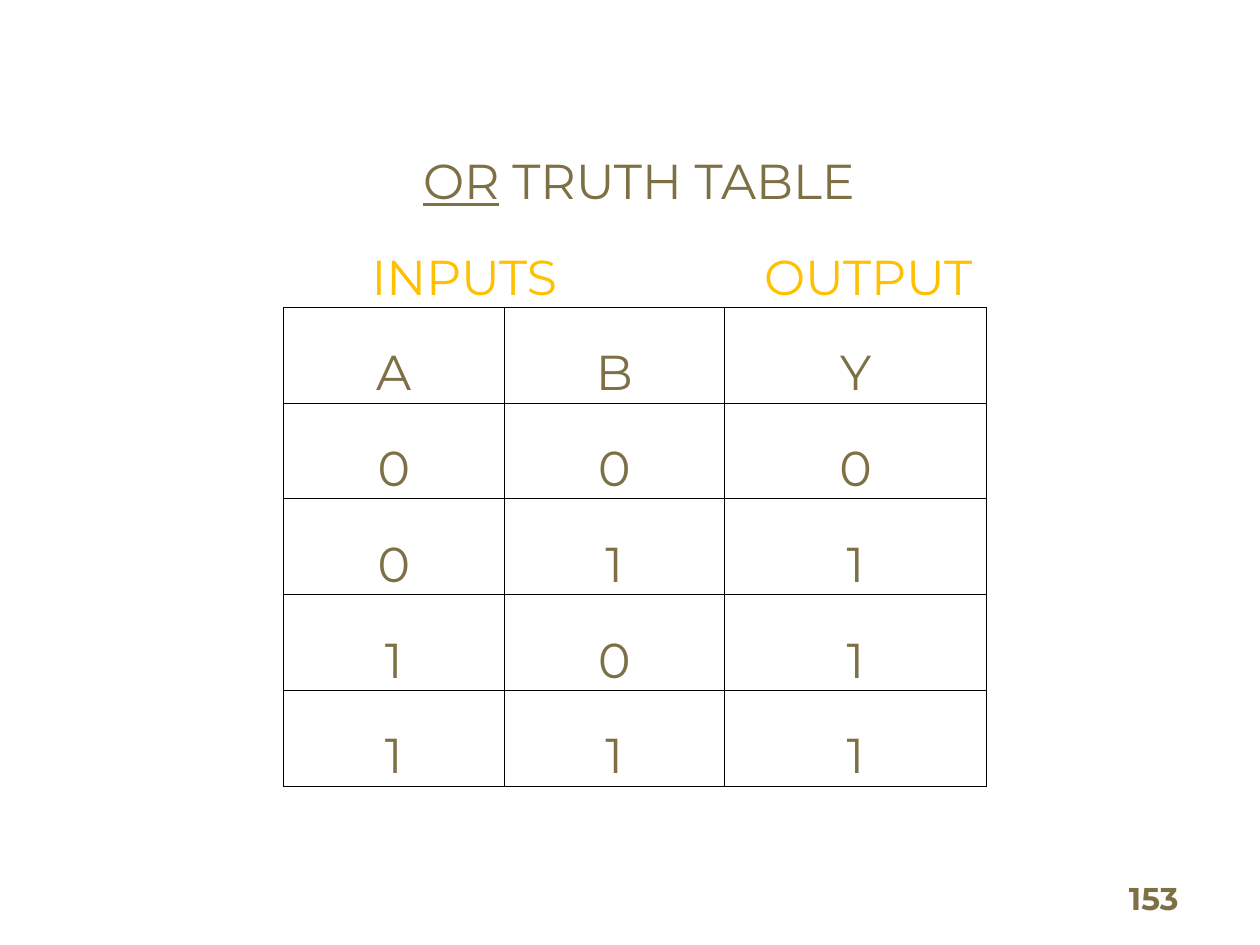
from lxml.etree import SubElement
from pptx import Presentation
from pptx.dml.color import RGBColor
from pptx.enum.text import MSO_ANCHOR, PP_ALIGN
from pptx.oxml.ns import qn
from pptx.util import Inches, Pt

TITLE = [("OR", True), (" TRUTH TABLE", False)]
INPUTS, OUTPUT = "INPUTS", "OUTPUT"
TRUTH = ["ABY", "000", "011", "101", "111"]
PAGE = "153"

THEME = {"font": "Montserrat", "text": "7C7044", "accent": "FFC000",
         "line": "000000", "line_width": 0.5, "size": 28, "page_size": 18}
COLS, ROW_H = [1.75, 1.75, 2.08], 0.76
CELL_FMT = {"vertical_anchor": MSO_ANCHOR.BOTTOM, "margin_left": Inches(0.01),
            "margin_right": Inches(0.01), "margin_top": Inches(0.01), "margin_bottom": 0}


def apply(obj, fmt):
    """Set each attribute in fmt on obj."""
    for name, value in fmt.items():
        setattr(obj, name, value)


def write(p, text, color="text", size="size", **fmt):
    """Add a run in the theme's font."""
    r = p.add_run()
    r.text = text
    apply(r.font, {"name": THEME["font"], "size": Pt(THEME[size]), **fmt})
    r.font.color.rgb = RGBColor.from_string(THEME[color])


def set_borders(cell, sides):
    """Draw the named sides of a cell and clear the others."""
    tc_pr = cell._tc.get_or_add_tcPr()
    for i, side in enumerate("LRTB"):
        ln = SubElement(tc_pr, qn(f"a:ln{side}"), w=str(Pt(THEME["line_width"])))
        if side in sides:
            fill = SubElement(ln, qn("a:solidFill"))
            SubElement(fill, qn("a:srgbClr"), val=THEME["line"])
        else:
            SubElement(ln, qn("a:noFill"))
        tc_pr.insert(i, ln)


def fill_cell(cell, runs, color="text", align=PP_ALIGN.CENTER, left=0.01):
    """Write formatted runs into a cell."""
    cell.margin_left = Inches(left)
    p = cell.text_frame.paragraphs[0]
    p.alignment = align
    for text, underline in runs:
        write(p, text, color, underline=underline)


def add_truth_table(s):
    """Add the truth table with its two heading rows."""
    n = len(TRUTH) + 2
    tbl = s.shapes.add_table(n, len(COLS), Inches(2.25), Inches(0.92),
                             Inches(sum(COLS)), Inches(n * ROW_H)).table
    apply(tbl, {"first_row": False, "horz_banding": False})
    for col, width in zip(tbl.columns, COLS):
        col.width = Inches(width)
    for i, row in enumerate(tbl.rows):
        row.height = Inches(ROW_H)
        for cell in row.cells:
            apply(cell, CELL_FMT)
            cell.fill.background()
            set_borders(cell, ["", "B"][i] if i < 2 else "LRTB")
    tbl.cell(0, 0).merge(tbl.cell(0, 2))
    tbl.cell(1, 0).merge(tbl.cell(1, 1))
    fill_cell(tbl.cell(0, 0), TITLE, left=0.07)
    fill_cell(tbl.cell(1, 0), [(INPUTS, False)], "accent", PP_ALIGN.LEFT, 0.7)
    fill_cell(tbl.cell(1, 2), [(OUTPUT, False)], "accent", left=0.21)
    for i, values in enumerate(TRUTH, 2):
        for j, value in enumerate(values):
            fill_cell(tbl.cell(i, j), [(value, False)])


def add_page_number(s):
    """Add the page number at the lower right."""
    tf = s.shapes.add_textbox(Inches(8.87), Inches(7.01), Inches(1.06), Inches(0.31)).text_frame
    apply(tf, {"word_wrap": True, "vertical_anchor": MSO_ANCHOR.BOTTOM,
               "margin_left": Inches(0.09), "margin_right": Inches(0.09),
               "margin_top": Inches(0.04), "margin_bottom": Inches(0.04)})
    write(tf.paragraphs[0], PAGE, size="page_size", bold=True)


def main():
    """Build and save the slide."""
    prs = Presentation()
    apply(prs, {"slide_width": Inches(10), "slide_height": Inches(7.5)})
    s = prs.slides.add_slide(prs.slide_layouts[6])
    add_truth_table(s)
    add_page_number(s)
    prs.save("out.pptx")


if __name__ == "__main__":
    main()
